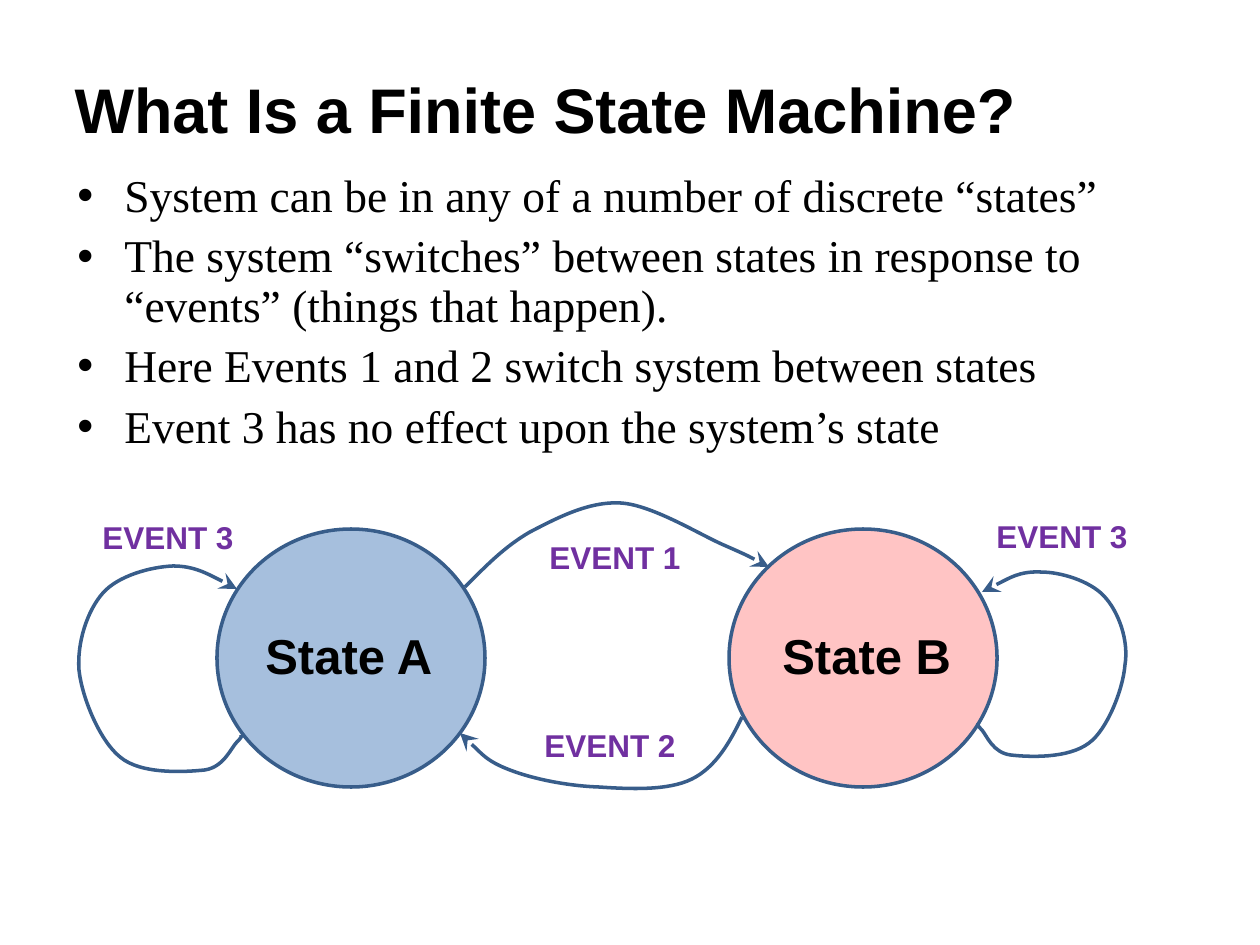
from lxml import etree
from pptx import Presentation
from pptx import util as u
from pptx.dml.color import RGBColor
from pptx.enum import shapes, text
from pptx.oxml.ns import qn

EMU_PER_PX = 914400 / 126
COLORS = {
    "ink": "000000",
    "event": "7030A0",
    "outline": "385D8A",
    "state_a": "4F81BD",
    "state_b": "FF0000",
}
BULLETS = [
    "System can be in any of a number of discrete “states”",
    "The system “switches” between states in response to “events” (things that happen).",
    "Here Events 1 and 2 switch system between states",
    "Event 3 has no effect upon the system’s state",
]
STATES = [
    ("State A", 217, 253, "state_a", 50),
    ("State B", 729, 770, "state_b", 23),
]
EVENTS = [
    ("EVENT 1", 511, 532),
    ("EVENT 2", 506, 720),
    ("EVENT 3", 64, 512),
    ("EVENT 3", 958, 511),
]
TRANSITIONS = [
    [(465, 587), (485, 567), (504, 547), (530, 532),
     (557, 518), (589, 501), (621, 503),
     (653, 505), (702, 536), (726, 546),
     (751, 557), (760, 562), (769, 567)],
    [(742, 717), (730, 742), (716, 767), (692, 779),
     (668, 791), (629, 789), (599, 787),
     (568, 786), (533, 779), (510, 770),
     (486, 761), (460, 733), (460, 733)],
    [(241, 735), (242, 736), (242, 737), (237, 742),
     (231, 748), (224, 767), (205, 770),
     (186, 772), (141, 775), (120, 757),
     (100, 741), (82, 698), (79, 670),
     (77, 643), (87, 611), (103, 593),
     (118, 576), (150, 567), (173, 566),
     (195, 566), (226, 583), (237, 589)],
    [(978, 723), (978, 725), (977, 725), (982, 730),
     (987, 736), (993, 753), (1011, 755),
     (1028, 757), (1068, 759), (1089, 743),
     (1107, 730), (1123, 690), (1125, 665),
     (1129, 641), (1119, 612), (1104, 596),
     (1090, 581), (1061, 572), (1041, 572),
     (1019, 571), (992, 587), (982, 592)],
]


def px(value):
    return u.Emu(round(value * EMU_PER_PX))


def color(name):
    return RGBColor.from_string(COLORS[name])


def add_run(paragraph, words, size, font="Arial", ink="ink", bold=True):
    run = paragraph.add_run()
    run.text = words
    run.font.name = font
    run.font.size = u.Pt(size)
    run.font.bold = bold
    run.font.color.rgb = color(ink)


def set_title(slide, words):
    title = slide.shapes.title
    title.left, title.top, title.width, title.height = map(px, (62, 40, 1134, 137))
    title.text_frame.vertical_anchor = text.MSO_ANCHOR.MIDDLE
    paragraph = title.text_frame.paragraphs[0]
    paragraph.alignment = text.PP_ALIGN.LEFT
    add_run(paragraph, words, 36)


def add_text_box(slide, *box):
    frame = slide.shapes.add_textbox(*map(px, box)).text_frame
    frame.word_wrap = True
    return frame


def add_bullet(paragraph):
    properties = paragraph._p.get_or_add_pPr()
    properties.set("marL", str(px(48)))
    properties.set("indent", str(px(-47)))
    etree.SubElement(properties, qn("a:buFont")).set("typeface", "Arial")
    etree.SubElement(properties, qn("a:buChar")).set("char", "•")


def add_bullets(slide, items):
    frame = add_text_box(slide, 64, 167, 1134, 610)
    for index, item in enumerate(items):
        paragraph = frame.add_paragraph() if index else frame.paragraphs[0]
        add_bullet(paragraph)
        paragraph.line_spacing = 0.9
        paragraph.space_before = u.Pt(6.5 if index else 0)
        add_run(paragraph, item, 26, "Times New Roman", bold=False)


def style_outline(shape):
    shape.shadow.inherit = False
    shape.line.color.rgb = color("outline")
    shape.line.width = u.Pt(2)


def add_state(slide, left, fill, opacity):
    circle = slide.shapes.add_shape(shapes.MSO_SHAPE.OVAL, *map(px, (left, 529, 268, 258)))
    style_outline(circle)
    circle.fill.solid()
    circle.fill.fore_color.rgb = color(fill)
    fill_color = circle._element.spPr.find(qn("a:solidFill"))[0]
    etree.SubElement(fill_color, qn("a:alpha")).set("val", str(opacity * 1000))


def add_label(slide, words, left, top, height, size, ink, alignment):
    paragraph = add_text_box(slide, left, top, 208, height).paragraphs[0]
    paragraph.alignment = alignment
    add_run(paragraph, words, size, ink=ink)


def bend_segments(shape, controls):
    segments = list(shape._element.iter(qn("a:lnTo")))
    for index, segment in enumerate(segments):
        segment.tag = qn("a:cubicBezTo")
        segment.clear()
        for x, y in controls[3 * index + 1:3 * index + 4]:
            point = etree.SubElement(segment, qn("a:pt"))
            point.set("x", str(px(x) - shape.left))
            point.set("y", str(px(y) - shape.top))


def add_transition(slide, controls):
    anchors = [tuple(map(px, point)) for point in controls[::3]]
    builder = slide.shapes.build_freeform(*anchors[0])
    builder.add_line_segments(anchors[1:], close=False)
    arrow = builder.convert_to_shape()
    bend_segments(arrow, controls)
    style_outline(arrow)
    arrow.fill.background()
    head = etree.SubElement(arrow.line._get_or_add_ln(), qn("a:tailEnd"))
    head.set("type", "stealth")
    head.set("w", "lg")
    head.set("len", "lg")


def main():
    presentation = Presentation()
    presentation.slide_width = px(1260)
    presentation.slide_height = px(945)
    slide = presentation.slides.add_slide(presentation.slide_layouts[5])
    set_title(slide, "What Is a Finite State Machine?")
    add_bullets(slide, BULLETS)
    for name, left, label_left, fill, opacity in STATES:
        add_state(slide, left, fill, opacity)
        add_label(slide, name, label_left, 619, 72, 28, "ink", text.PP_ALIGN.LEFT)
    for controls in TRANSITIONS:
        add_transition(slide, controls)
    for name, left, top in EVENTS:
        add_label(slide, name, left, top, 50, 18, "event", text.PP_ALIGN.CENTER)
    presentation.save("out.pptx")


if __name__ == "__main__":
    main()
